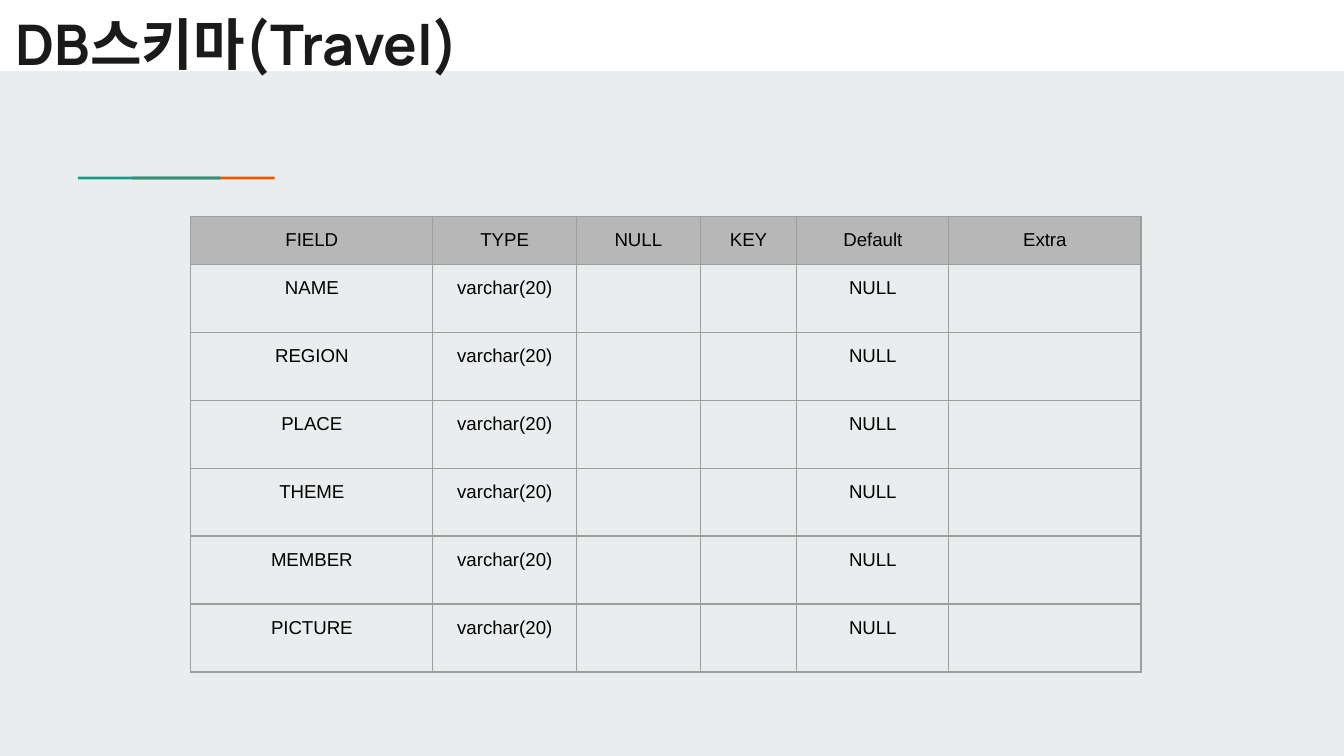
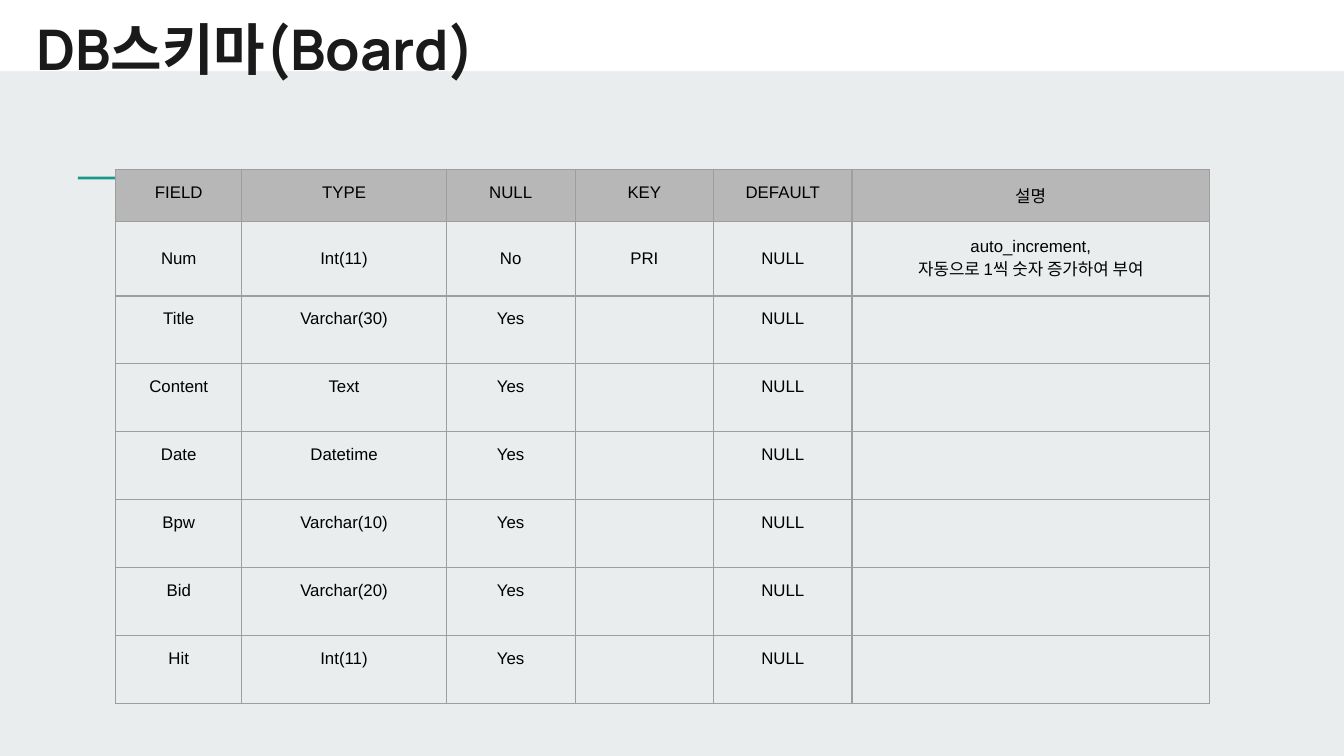
from lxml.etree import SubElement
from pptx import Presentation
from pptx.dml.color import RGBColor
from pptx.enum.shapes import MSO_SHAPE as Preset
from pptx.enum.text import MSO_ANCHOR as Anchor, MSO_AUTO_SIZE as AutoSize, PP_ALIGN as Align
from pptx.oxml.ns import qn
from pptx.util import Inches, Pt

WIDTH, HEIGHT = Inches(10), Inches(5.625)
MARGIN = Inches(0.1)
BACKGROUND = RGBColor(0xE9, 0xED, 0xEE)
WHITE = RGBColor(0xFF, 0xFF, 0xFF)
ORANGE = RGBColor(0xEB, 0x56, 0x00)
TEAL = RGBColor(0x1A, 0x99, 0x88)
HEADER_GREY = RGBColor(0xB7, 0xB7, 0xB7)
BORDER_GREY = RGBColor(0x9E, 0x9E, 0x9E)
TITLE_INK = RGBColor(0x1A, 0x1A, 0x1A)
BLACK = RGBColor(0, 0, 0)

TRAVEL_ROWS = [["FIELD", "TYPE", "NULL", "KEY", "Default", "Extra"]] + [
    [field, "varchar(20)", "", "", "NULL", ""]
    for field in ("NAME", "REGION", "PLACE", "THEME", "MEMBER", "PICTURE")
]
BOARD_ROWS = [
    ["FIELD", "TYPE", "NULL", "KEY", "DEFAULT", "설명"],
    ["Num", "Int(11)", "No", "PRI", "NULL", "auto_increment,\n자동으로 1씩 숫자 증가하여 부여"],
] + [
    [field, kind, "Yes", "", "NULL", ""]
    for field, kind in (
        ("Title", "Varchar(30)"), ("Content", "Text"), ("Date", "Datetime"),
        ("Bpw", "Varchar(10)"), ("Bid", "Varchar(20)"), ("Hit", "Int(11)"),
    )
]


def across(percent):
    """Return a share of the slide's width."""
    return round(WIDTH * percent / 100)


def down(percent):
    """Return a share of the slide's height."""
    return round(HEIGHT * percent / 100)


def set_margins(holder):
    """Give a text frame or a cell the common margin on all sides."""
    for side in ("left", "right", "top", "bottom"):
        setattr(holder, f"margin_{side}", MARGIN)


def style_text(frame, font_name, size, color, bold=False):
    """Centre the paragraphs and format their runs."""
    for para in frame.paragraphs:
        para.alignment = Align.CENTER
        for span in para.runs:
            span.font.name = font_name
            span.font.size = Pt(size)
            span.font.bold = bold
            span.font.color.rgb = color


def add_layout_bar(page, left, top, width, height, color):
    """Place a plain bar on the layout that the page uses."""
    bar = page.shapes.add_shape(
        Preset.RECTANGLE, across(left), down(top), across(width), down(height))
    bar.shadow.inherit = False
    bar.fill.solid()
    bar.fill.fore_color.rgb = color
    bar.line.fill.background()
    layout_tree = page.slide_layout.shapes._spTree
    bar._element.nvSpPr.cNvPr.set("id", str(len(layout_tree) + 20))
    layout_tree.append(bar._element)


def decorate_layout(page):
    """Give the shared layout its background, top band and accent line."""
    fill = page.slide_layout.background.fill
    fill.solid()
    fill.fore_color.rgb = BACKGROUND
    add_layout_bar(page, 0, 0, 100, 9.42, WHITE)
    for left, color in ((9.85, ORANGE), (5.8, TEAL)):
        add_layout_bar(page, left, 23.38, 10.6, 0.38, color)


def set_title(page, text, left, top, width):
    """Place and format the title placeholder."""
    title = page.shapes.title
    title.left, title.top = across(left), down(top)
    title.width, title.height = across(width), down(13.33)
    frame = title.text_frame
    frame.text = text
    frame.word_wrap = True
    frame.auto_size = AutoSize.NONE
    frame.vertical_anchor = Anchor.BOTTOM
    set_margins(frame)
    style_text(frame, "Manrope", 30, TITLE_INK, bold=True)


def add_borders(cell):
    """Draw a thin grey line on each side of a cell."""
    properties = cell._tc.get_or_add_tcPr()
    for side in ("lnL", "lnR", "lnT", "lnB"):
        line = SubElement(properties, qn(f"a:{side}"), w=str(Pt(0.75)))
        fill = SubElement(line, qn("a:solidFill"))
        SubElement(fill, qn("a:srgbClr"), val=str(BORDER_GREY))


def format_cell(cell, text, size, is_header):
    """Fill a cell with its text, borders and background."""
    cell.text_frame.text = text
    set_margins(cell)
    style_text(cell.text_frame, "Arial", size, BLACK)
    add_borders(cell)
    if is_header:
        cell.fill.solid()
        cell.fill.fore_color.rgb = HEADER_GREY
    else:
        cell.fill.background()


def add_schema_table(page, rows, left, top, widths, heights, size):
    """Add a schema table with a grey header row."""
    table = page.shapes.add_table(
        len(rows), len(widths), across(left), down(top),
        across(sum(widths)), down(sum(heights))).table
    table.first_row = table.horz_banding = False
    for column, width in zip(table.columns, widths):
        column.width = across(width)
    for index, (row, height) in enumerate(zip(table.rows, heights)):
        row.height = down(height)
        for cell, text in zip(row.cells, rows[index]):
            format_cell(cell, text, size, index == 0)
    return table


def main():
    """Build both schema slides and save the deck."""
    deck = Presentation()
    deck.slide_width, deck.slide_height = WIDTH, HEIGHT
    layout = deck.slide_layouts.get_by_name("Title Only")
    travel, board = (deck.slides.add_slide(layout) for _ in range(2))
    decorate_layout(travel)

    set_title(travel, "DB스키마(Travel)", -2, -1.42, 39.3)
    add_schema_table(
        travel, TRAVEL_ROWS, 14.2, 28.65,
        [18, 10.7, 9.2, 7.2, 11.3, 14.3], [6.22] + [8.53] * 6, 10)

    set_title(board, "DB스키마(Board)", -2.4, -0.71, 42.8)
    board_table = add_schema_table(
        board, BOARD_ROWS, 8.6, 22.42,
        [9.4, 15.2, 9.6, 10.3, 10.3, 26.6], [6.93, 9.8] + [8.53] * 6, 9)
    for cell in board_table.rows[1].cells:
        cell.vertical_anchor = Anchor.MIDDLE

    deck.save("out.pptx")


if __name__ == "__main__":
    main()
